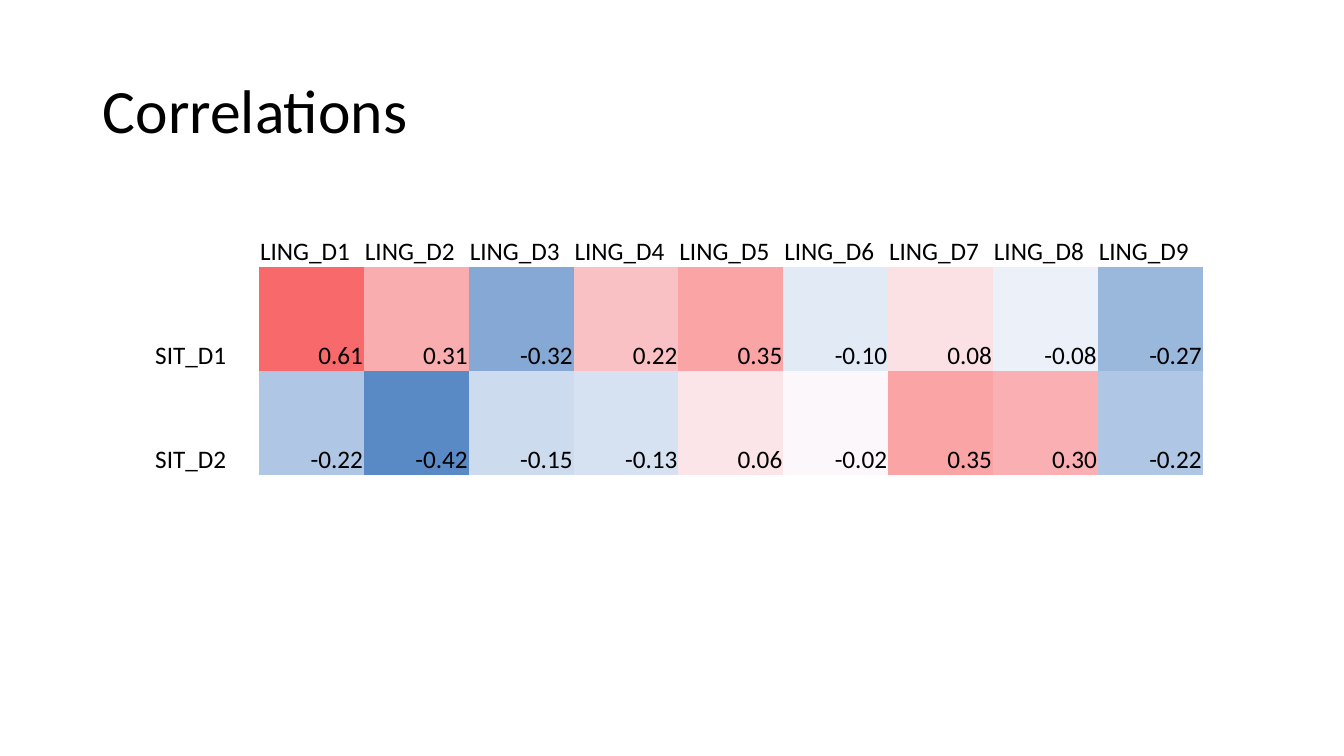
from typing import NamedTuple

from pptx import Presentation
from pptx.dml.color import RGBColor
from pptx.enum.text import MSO_ANCHOR, PP_ALIGN
from pptx.util import Inches, Pt

FONT = "Calibri"
COLORS = {"text": "000000", "low": "5A8AC6", "mid": "FCFCFF", "high": "F8696B"}
LOW, MID, HIGH = -0.42, -0.04, 0.61
NO_STYLE = "{2D5ABB26-0587-4C30-8999-92F81FD0307C}"
CELL_W, CELL_H = Inches(1.04), Inches(1.03)


class Situation(NamedTuple):
    """One table row: a situational dimension and its correlations."""
    name: str
    values: tuple[float, ...]


SITUATIONS = [
    Situation("SIT_D1", (0.61, 0.31, -0.32, 0.22, 0.35, -0.10, 0.08, -0.08, -0.27)),
    Situation("SIT_D2", (-0.22, -0.42, -0.15, -0.13, 0.06, -0.02, 0.35, 0.30, -0.22)),
]
HEADERS = [f"LING_D{n}" for n in range(1, 10)]


def scale_color(value: float) -> RGBColor:
    """Blend from the middle colour towards the low or high end."""
    end, limit = ("low", LOW) if value < MID else ("high", HIGH)
    share = (value - MID) / (limit - MID)
    mid, far = (RGBColor.from_string(COLORS[key]) for key in ("mid", end))
    return RGBColor(*(round(a + (b - a) * share) for a, b in zip(mid, far)))


def style_paragraph(p, size: int, align: PP_ALIGN) -> None:
    """Set the font and alignment of a paragraph."""
    p.alignment = align
    p.font.name, p.font.size = FONT, Pt(size)
    p.font.color.rgb = RGBColor.from_string(COLORS["text"])


def add_title(s, text: str) -> None:
    """Place and format the title placeholder."""
    sp = s.shapes.title
    sp.left, sp.top = Inches(0.92), Inches(0.4)
    sp.width, sp.height = Inches(11.5), Inches(1.45)
    tf = sp.text_frame
    tf.text, tf.vertical_anchor = text, MSO_ANCHOR.MIDDLE
    p = tf.paragraphs[0]
    p.line_spacing = 0.9
    style_paragraph(p, 44, PP_ALIGN.LEFT)


def fill_cell(cell, content: str | float) -> None:
    """Write a label, or a number on its heat colour."""
    cell.margin_left = cell.margin_right = cell.margin_top = Inches(0.01)
    cell.margin_bottom = 0
    cell.vertical_anchor = MSO_ANCHOR.BOTTOM
    if isinstance(content, str):
        cell.text, align = content, PP_ALIGN.LEFT
        cell.fill.background()
    else:
        cell.text, align = f"{content:.2f}", PP_ALIGN.RIGHT
        cell.fill.solid()
        cell.fill.fore_color.rgb = scale_color(content)
    style_paragraph(cell.text_frame.paragraphs[0], 18, align)


def add_heatmap(s) -> None:
    """Add the correlation table."""
    rows = [("", *HEADERS)] + [(sit.name, *sit.values) for sit in SITUATIONS]
    n_rows, n_cols = len(rows), len(rows[0])
    table = s.shapes.add_table(n_rows, n_cols, Inches(1.53), Inches(1.62),
                               CELL_W * n_cols, CELL_H * n_rows).table
    table.first_row = table.horz_banding = False
    table._tbl.tblPr[0].text = NO_STYLE
    for column in table.columns:
        column.width = CELL_W
    for r, contents in enumerate(rows):
        table.rows[r].height = CELL_H
        for c, content in enumerate(contents):
            fill_cell(table.cell(r, c), content)


prs = Presentation()
prs.slide_width, prs.slide_height = Inches(13.33), Inches(7.5)
s = prs.slides.add_slide(prs.slide_layouts[5])
add_title(s, "Correlations")
add_heatmap(s)
prs.save("out.pptx")
